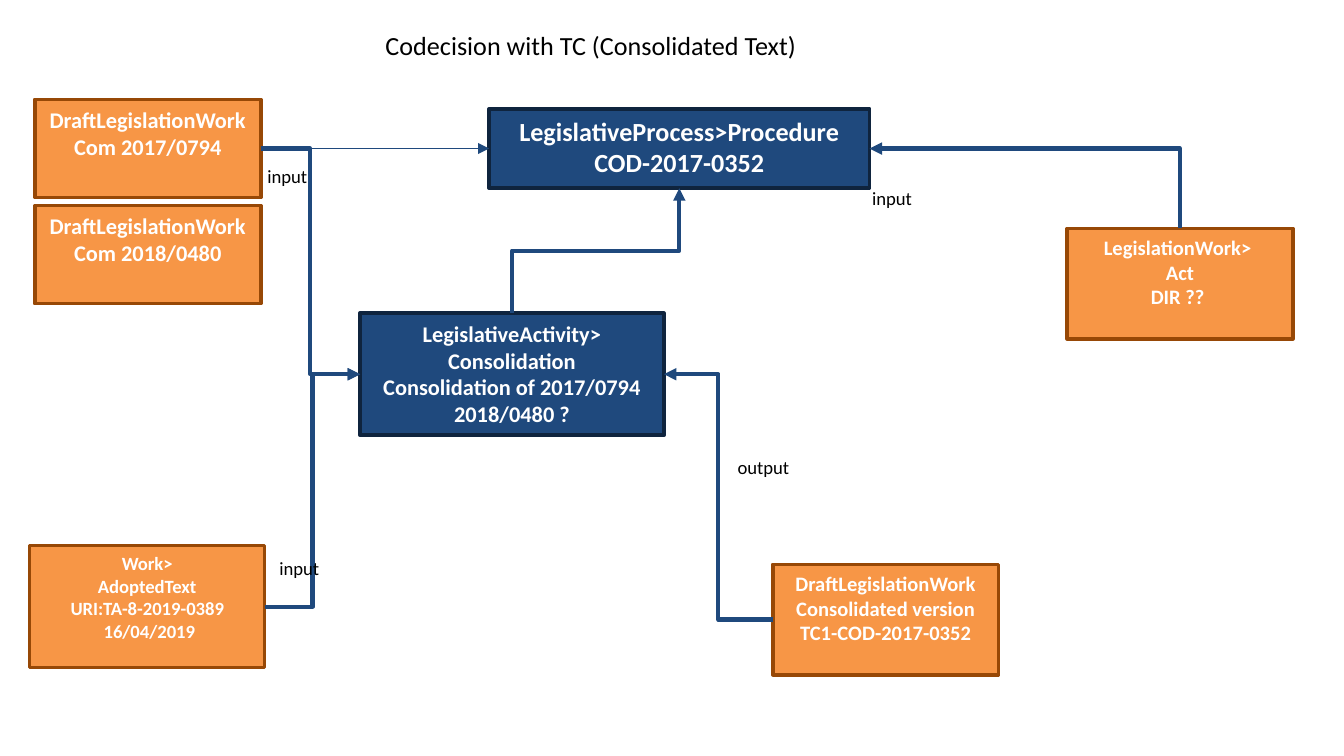
from lxml.etree import SubElement
from pptx import Presentation
from pptx.dml.color import RGBColor
from pptx.enum.shapes import MSO_CONNECTOR, MSO_SHAPE
from pptx.enum.text import MSO_ANCHOR, MSO_AUTO_SIZE, PP_ALIGN
from pptx.oxml.ns import qn
from pptx.util import Inches, Pt

FONT = "Calibri"
COLORS = {
    "work": "F79646", "work_line": "974806",
    "process": "1F497D", "process_line": "0F243E",
    "arrow": "1F497D", "white": "FFFFFF", "black": "000000",
}

# Boxes: left, top, width, height
DRAFT_1 = (0.26, 0.74, 1.68, 0.73)
DRAFT_2 = (0.26, 1.53, 1.68, 0.73)
PROCEDURE = (3.64, 0.81, 2.83, 0.59)
CONSOLIDATION = (2.68, 2.33, 2.26, 0.91)
ADOPTED = (0.22, 4.06, 1.75, 0.91)
CONSOLIDATED = (5.75, 4.2, 1.68, 0.82)
ACT = (7.94, 1.7, 1.68, 0.82)

# Box, kind, text size, line width, lines of text
NODES = [
    (DRAFT_1, "work", 12, 2, ["DraftLegislationWork", "Com 2017/0794"]),
    (DRAFT_2, "work", 12, 2, ["DraftLegislationWork", "Com 2018/0480"]),
    (PROCEDURE, "process", 14, 2,
     ["LegislativeProcess>Procedure", "COD-2017-0352"]),
    (CONSOLIDATION, "process", 12, 2,
     ["LegislativeActivity>", "Consolidation",
      "Consolidation of 2017/0794", "2018/0480 ?"]),
    (ADOPTED, "work", 10, 1.5,
     ["Work>", "AdoptedText", "URI:TA-8-2019-0389", " 16/04/2019"]),
    (CONSOLIDATED, "work", 11, 2,
     ["DraftLegislationWork", "Consolidated version", "TC1-COD-2017-0352"]),
    (ACT, "work", 11, 2, ["LegislationWork> ", "Act", "DIR ?? "]),
]

# From box and side, to box and side, line width
LINKS = [
    (CONSOLIDATION, "top", PROCEDURE, "bottom", 2.25),
    (DRAFT_1, "right", PROCEDURE, "left", 0.75),
    (CONSOLIDATED, "left", CONSOLIDATION, "right", 2.25),
    (ADOPTED, "right", CONSOLIDATION, "left", 2.25),
    (DRAFT_1, "right", CONSOLIDATION, "left", 2.25),
    (ACT, "top", PROCEDURE, "right", 2.25),
]

# Box, text, text size
LABELS = [
    ((2.77, 0.12, 3.84, 0.44), "Codecision with TC (Consolidated Text)", 14),
    ((1.89, 1.14, 0.68, 0.37), "input", 10),
    ((6.39, 1.31, 0.68, 0.37), "input", 10),
    ((1.98, 4.06, 0.68, 0.37), "input", 10),
    ((5.39, 3.31, 0.68, 0.37), "output", 10),
]


def rgb(name):
    return RGBColor.from_string(COLORS[name])


def add_run(p, text, size, color, bold=False):
    r = p.add_run()
    r.text = text
    r.font.name = FONT
    r.font.size = Pt(size)
    r.font.bold = bold
    r.font.color.rgb = rgb(color)


def add_node(s, box, kind, size, line_width, lines):
    sp = s.shapes.add_shape(MSO_SHAPE.RECTANGLE, *map(Inches, box))
    sp.shadow.inherit = False
    sp.fill.solid()
    sp.fill.fore_color.rgb = rgb(kind)
    sp.line.color.rgb = rgb(kind + "_line")
    sp.line.width = Pt(line_width)
    tf = sp.text_frame
    tf.word_wrap = True
    tf.vertical_anchor = MSO_ANCHOR.TOP
    for i, line in enumerate(lines):
        p = tf.add_paragraph() if i else tf.paragraphs[0]
        p.alignment = PP_ALIGN.CENTER
        add_run(p, line, size, "white", True)


def add_label(s, box, text, size):
    tf = s.shapes.add_textbox(*map(Inches, box)).text_frame
    tf.word_wrap = True
    tf.auto_size = MSO_AUTO_SIZE.SHAPE_TO_FIT_TEXT
    tf.margin_left = tf.margin_right = Inches(0.1)
    tf.margin_top = tf.margin_bottom = Inches(0.1)
    add_run(tf.paragraphs[0], text, size, "black")


def side_point(box, side):
    x, y, w, h = box
    return {
        "left": (x, y + h / 2), "right": (x + w, y + h / 2),
        "top": (x + w / 2, y), "bottom": (x + w / 2, y + h),
    }[side]


def add_link(s, start_box, start_side, end_box, end_side, line_width):
    x1, y1 = side_point(start_box, start_side)
    x2, y2 = side_point(end_box, end_side)
    rotation = 0
    if start_side == "top":
        # Leaving upwards: a quarter turn of a frame with swapped sides
        rotation = 270 if x2 > x1 else 90
        cx, cy = (x1 + x2) / 2, (y1 + y2) / 2
        half_w, half_h = abs(y2 - y1) / 2, abs(x2 - x1) / 2
        if rotation == 90:
            half_w = -half_w
        x1, x2 = cx - half_w, cx + half_w
        y1, y2 = cy - half_h, cy + half_h
    c = s.shapes.add_connector(MSO_CONNECTOR.ELBOW,
                               *map(Inches, (x1, y1, x2, y2)))
    c.line.color.rgb = rgb("arrow")
    c.line.width = Pt(line_width)
    spPr = c._element.spPr
    if rotation:
        spPr.find(qn("a:xfrm")).set("rot", str(rotation * 60000))
    if start_side == "top" and end_side in ("left", "right"):
        spPr.find(qn("a:prstGeom")).set("prst", "bentConnector2")
    SubElement(spPr.find(qn("a:ln")), qn("a:tailEnd"), type="triangle")
    SubElement(spPr, qn("a:effectLst"))


def main():
    prs = Presentation()
    # Widescreen, 16:9
    prs.slide_width = Inches(10)
    prs.slide_height = Inches(10 * 9 / 16)
    s = prs.slides.add_slide(prs.slide_layouts[6])
    for node in NODES:
        add_node(s, *node)
    for link in LINKS:
        add_link(s, *link)
    for label in LABELS:
        add_label(s, *label)
    prs.save("out.pptx")


if __name__ == "__main__":
    main()
